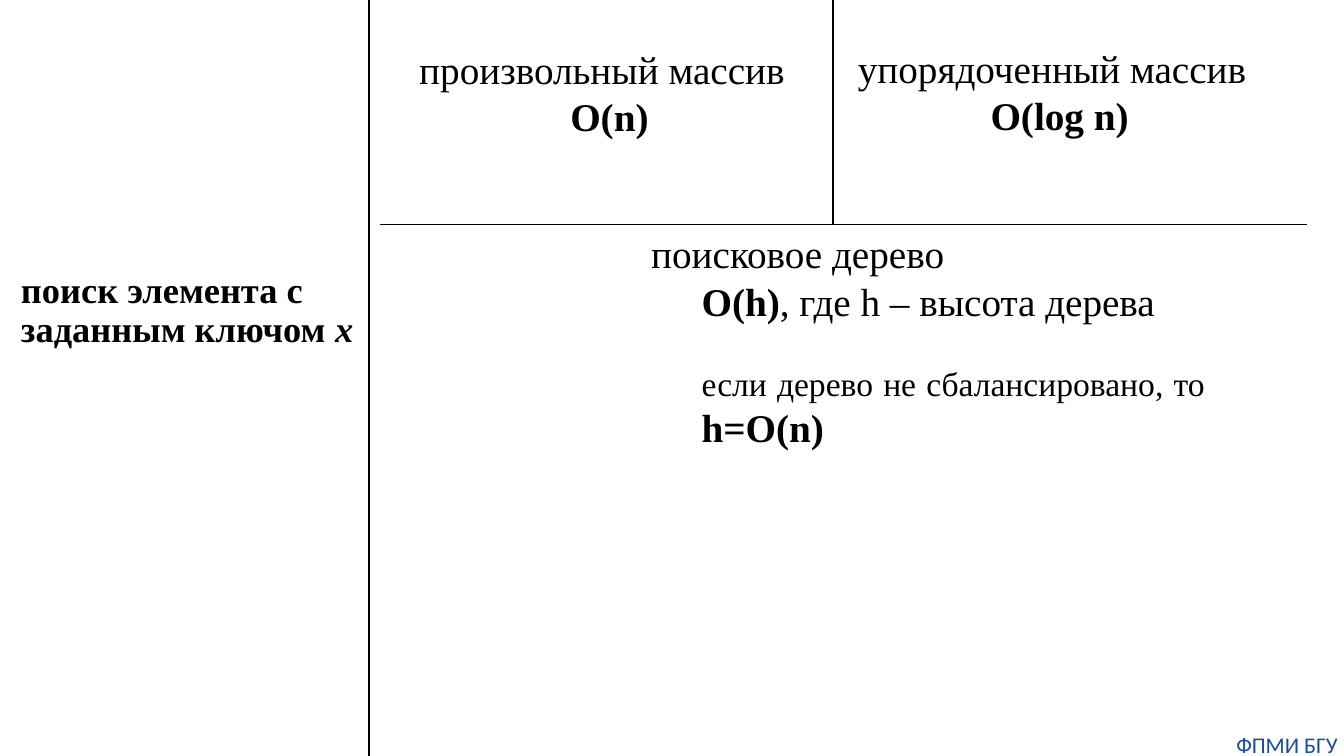
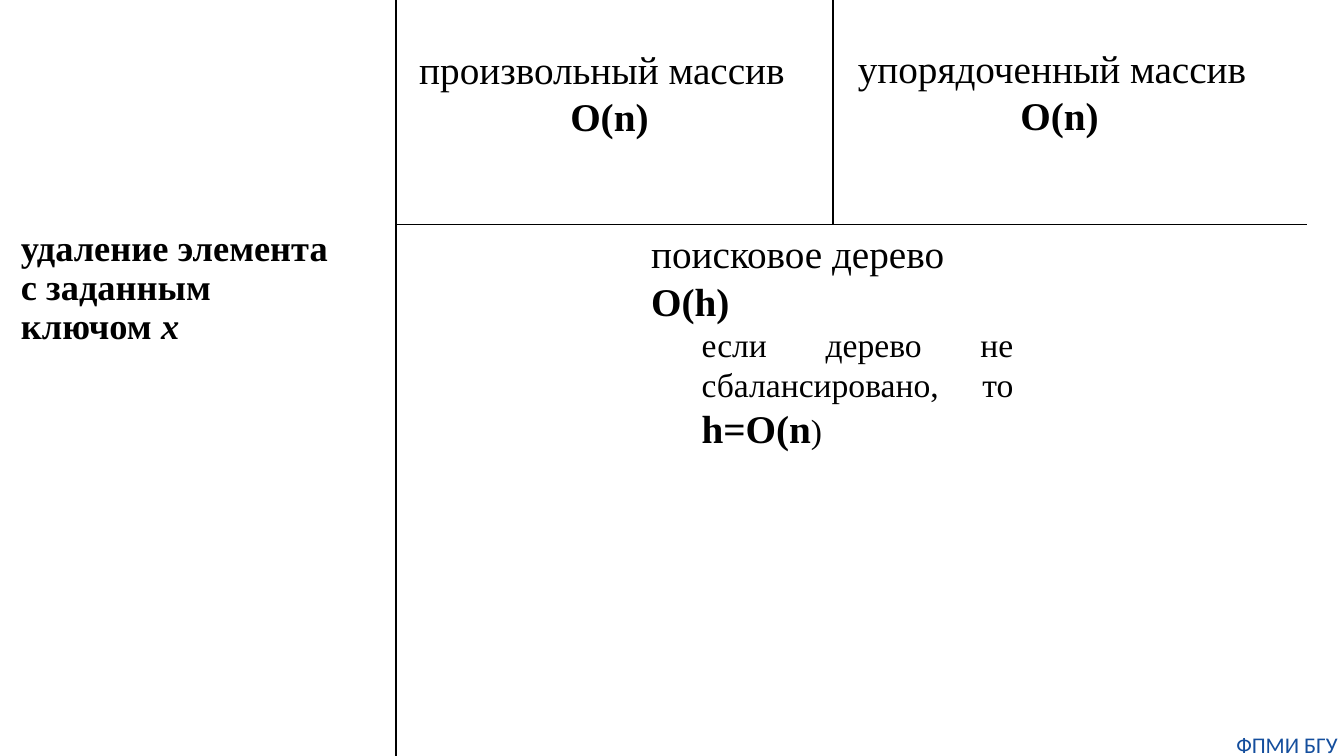
import pptx
import pptx.dml.color
import pptx.enum.shapes
import pptx.enum.text
import pptx.util
import lxml.etree

PX = 9144
WIDTH, HEIGHT = 1333, 750
BLACK, BLUE = "000000", "144E9D"
SERIF, SANS = "Times New Roman", "Calibri"
ALIGN = pptx.enum.text.PP_ALIGN
CENTER, JUSTIFY = ALIGN.CENTER, ALIGN.JUSTIFY
INDENT = 50
ROW_Y, COLUMN_X, ROW_END = 223, 826, 1296
TITLE_STYLE = {"line_spacing": 0.9}
ARRAY_STYLE = {"line_spacing": 0.7, "space_before": 10}

SLIDES = [
    {
        "title": "поиск элемента с заданным ключом ",
        "title_box": (11, 265, 355, 111),
        "divider_x": 366,
        "row_start": 377,
        "sorted_cost": "O(log n)",
        "tree_box": (636, 223, 569, 239),
        "tree": [
            ({}, [("поисковое дерево", {})]),
            ({"level": 1}, [("O(h)", {"bold": True}), (", где h – высота дерева", {})]),
            ({"level": 1, "align": JUSTIFY, "space_before": 28},
             [("если дерево не сбалансировано, то ", {"size": 24}), ("h=O(n)", {"bold": True})]),
        ],
    },
    {
        "title": "удаление элемента с заданным ключом ",
        "title_box": (11, 223, 341, 217),
        "divider_x": 393,
        "row_start": 393,
        "sorted_cost": "O(n)",
        "tree_box": (636, 223, 379, 232),
        "tree": [
            ({}, [("поисковое дерево", {})]),
            ({}, [("O(h)", {"bold": True})]),
            ({"level": 1, "align": JUSTIFY},
             [("если дерево не сбалансировано, то ", {"size": 24}),
              ("h=O(n", {"bold": True}), (")", {"size": 24})]),
        ],
    },
]


def color(value):
    return pptx.dml.color.RGBColor.from_string(value)


def px(value):
    return pptx.util.Emu(value * PX)


def add_run(paragraph, text, size=28, bold=False, italic=False, font=SERIF, fill=BLACK):
    run = paragraph.add_run()
    run.text = text
    run.font.name = font
    run.font.size = pptx.util.Pt(size)
    run.font.bold = bold
    run.font.italic = italic
    run.font.color.rgb = color(fill)


def add_text(slide, box, paragraphs, inset=None):
    frame = slide.shapes.add_textbox(*map(px, box)).text_frame
    frame.word_wrap = True
    if inset is not None:
        frame.margin_left = frame.margin_right = px(inset)
        frame.margin_top = frame.margin_bottom = px(inset)
    for index, (style, runs) in enumerate(paragraphs):
        paragraph = frame.add_paragraph() if index else frame.paragraphs[0]
        paragraph.alignment = style.get("align", ALIGN.LEFT)
        paragraph.line_spacing = style.get("line_spacing", 1.0)
        paragraph.space_before = pptx.util.Pt(style.get("space_before", 0) if index else 0)
        level = style.get("level", 0)
        if level:
            paragraph.level = level
            properties = paragraph._p.get_or_add_pPr()
            properties.set("marL", str(px(INDENT * level)))
            properties.set("indent", "0")
        for text, font_style in runs:
            add_run(paragraph, text, **font_style)


def add_line(slide, start, end, width):
    line = slide.shapes.add_connector(
        pptx.enum.shapes.MSO_CONNECTOR.STRAIGHT, *map(px, start + end))
    line.line.color.rgb = color(BLACK)
    line.line.width = pptx.util.Pt(width)
    properties = line._element.spPr
    lxml.etree.SubElement(properties, pptx.oxml.ns.qn("a:effectLst"))


def array_text(name, cost, style):
    return [(style, [(name, {})]),
            ({**style, "align": CENTER}, [(cost, {"bold": True})])]


def add_comparison(presentation, content):
    slide = presentation.slides.add_slide(presentation.slide_layouts[6])
    title_font = {"size": 26, "bold": True}
    add_text(slide, content["title_box"], [
        (TITLE_STYLE, [(content["title"], title_font), ("х", {**title_font, "italic": True})])])
    add_text(slide, (406, 53, 397, 153),
             array_text("произвольный массив", "O(n)", ARRAY_STYLE))
    add_text(slide, (841, 39, 420, 104),
             array_text("упорядоченный массив", content["sorted_cost"], {}))
    add_text(slide, content["tree_box"], content["tree"])
    add_text(slide, (1220, 725, 113, 27), [
        ({"align": CENTER}, [("ФПМИ БГУ", {"size": 16, "font": SANS, "fill": BLUE})])], inset=0)
    divider_x = content["divider_x"]
    add_line(slide, (divider_x, 0), (divider_x, HEIGHT), 1.5)
    add_line(slide, (content["row_start"], ROW_Y), (ROW_END, ROW_Y), 0.5)
    add_line(slide, (COLUMN_X, 0), (COLUMN_X, ROW_Y), 1.5)


def main():
    presentation = pptx.Presentation()
    presentation.slide_width = px(WIDTH)
    presentation.slide_height = px(HEIGHT)
    for content in SLIDES:
        add_comparison(presentation, content)
    presentation.save("out.pptx")


if __name__ == "__main__":
    main()
